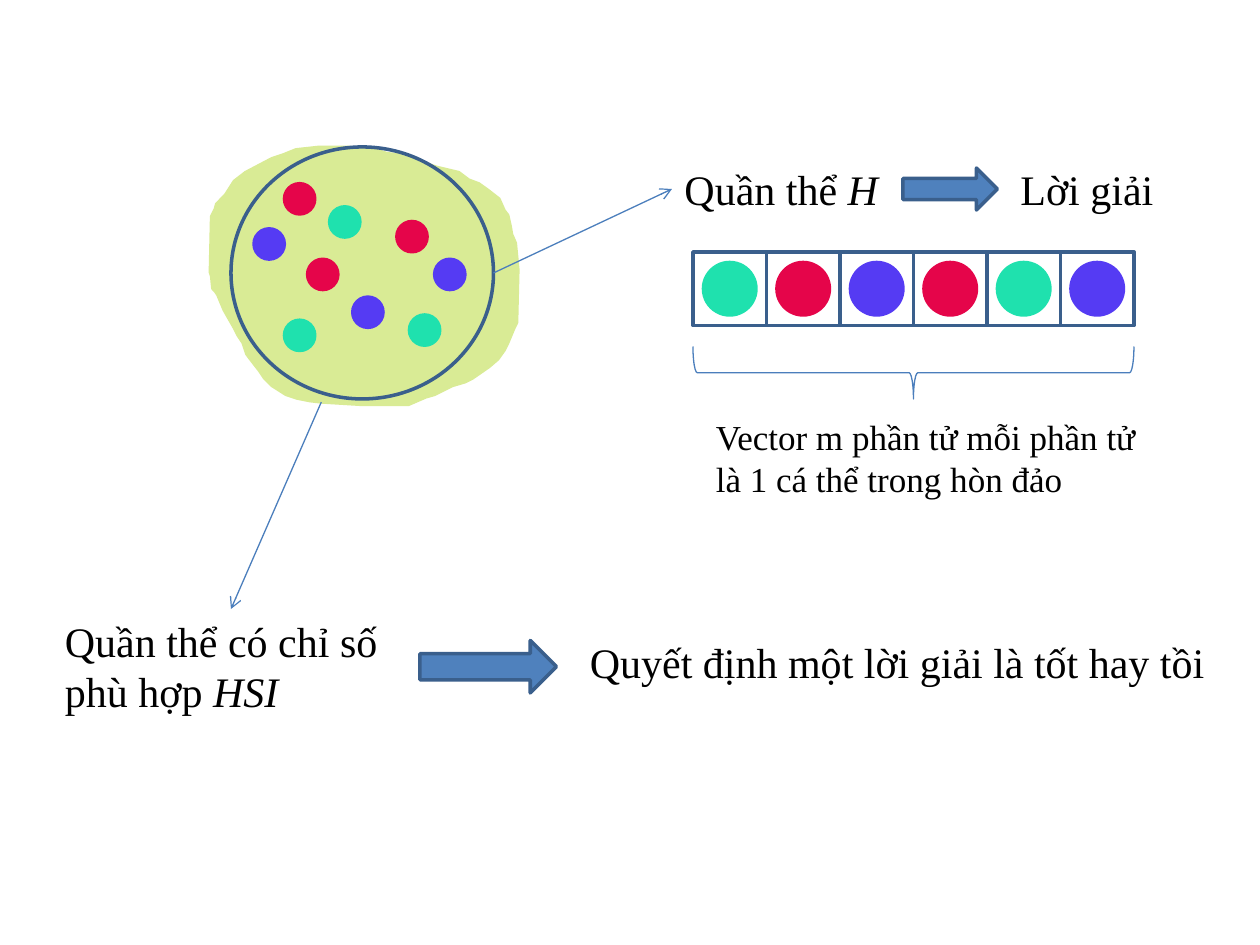
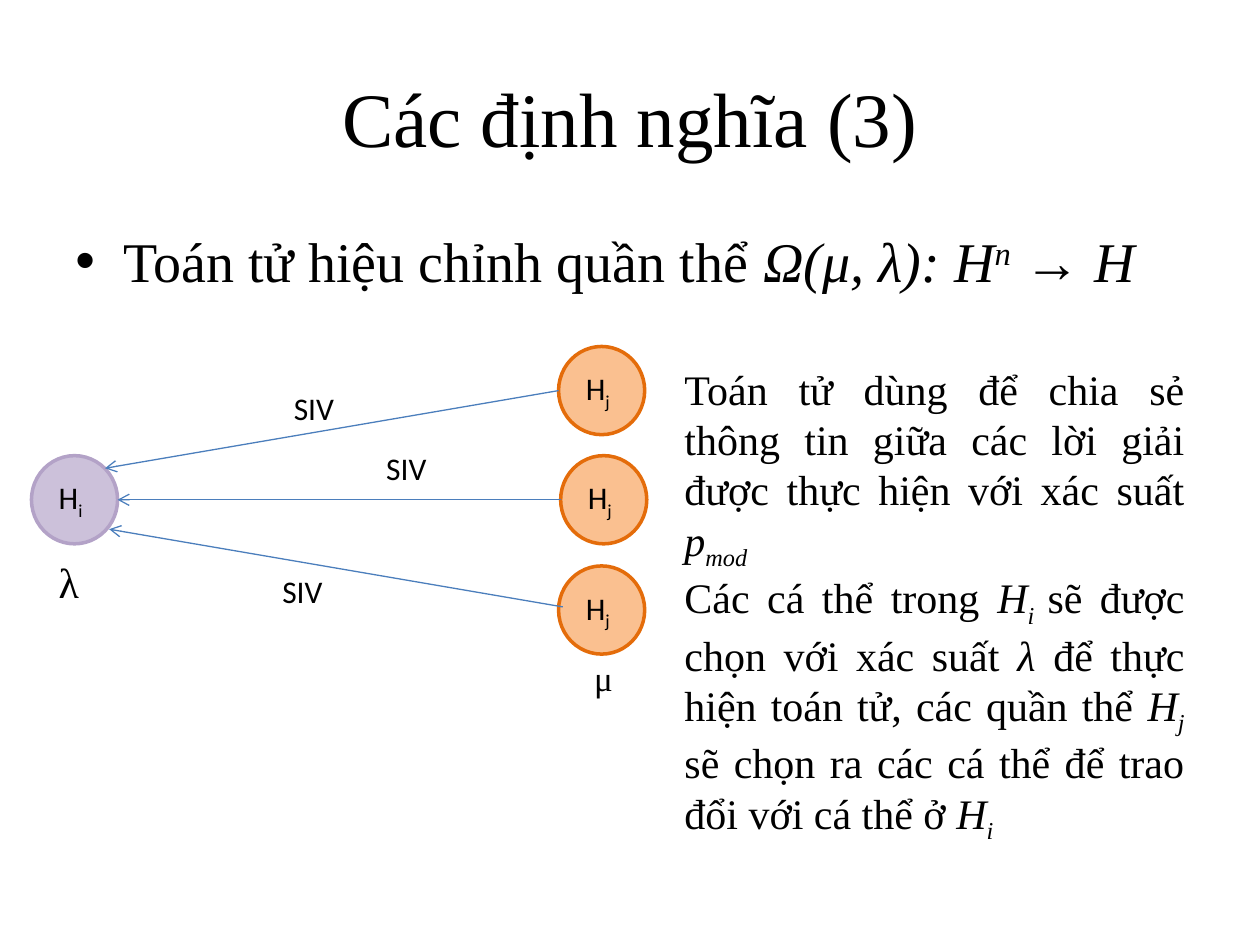
"""Build two slides on population-based solutions and their migration operator."""
from lxml import etree
from pptx import Presentation
from pptx import util as u
from pptx.dml.color import RGBColor
from pptx.enum import shapes, text
from pptx.oxml.ns import qn

COLOURS = {
    "ink": "000000", "island": "D9EB95", "red": "E5054A", "green": "1FE1AE",
    "violet": "553BF3", "outline": "3A5F8C", "arrow": "4F81BD", "thread": "4B7EBC",
    "lilac": "CCC1DA", "lilac edge": "B3A2C7", "peach": "FAC090", "peach edge": "E46C0A",
}
SERIF, SANS = "Times New Roman", "Calibri"
WIDTH, HEIGHT = u.Inches(10), u.Inches(7.5)
COLUMNS, ROWS = 120, 90
CELL = WIDTH / COLUMNS
KIND = shapes.MSO_SHAPE
ALIGN = text.PP_ALIGN
BASELINES = {"_": "-25000", "^": "30000"}

ISLAND_POINTS = [
    (169, 229), (168, 219), (167, 216), (168, 172), (171, 166), (172, 162), (179, 155),
    (186, 144), (195, 137), (216, 126), (225, 123), (235, 119), (253, 117), (276, 117),
    (298, 119), (307, 122), (317, 123), (326, 126), (347, 133), (364, 137), (372, 143),
    (380, 146), (387, 151), (396, 158), (400, 167), (403, 171), (405, 180), (406, 186),
    (409, 193), (411, 214), (410, 256), (408, 260), (403, 272), (400, 278), (395, 285),
    (388, 291), (375, 300), (369, 303), (359, 306), (345, 313), (338, 315), (324, 321),
    (288, 321), (255, 319), (246, 318), (236, 316), (227, 313), (216, 306), (210, 300),
    (206, 294), (199, 285), (196, 281), (193, 272), (189, 266), (186, 260), (178, 246),
    (173, 234), (171, 231),
]
DOTS = {
    "red": [(27.1, 17.5), (37.8, 21.1), (29.3, 24.7)],
    "green": [(39, 30), (27.1, 30.5), (31.4, 19.7)],
    "violet": [(24.2, 21.8), (33.6, 28.3), (41.4, 24.7)],
}
DOT_SIZE = 2.88
VECTOR = ["green", "red", "violet", "red", "green", "violet"]
VECTOR_LEFT, VECTOR_TOP, VECTOR_CELL = 66, 24, 7
ISLAND_THREADS = [(47, 26, 64, 18), (30.6, 38.3, 22, 58)]
BLOCK_ARROWS = [(86, 16, 9, 4), (40, 61, 13, 5)]
ISLAND_LABELS = [
    ((64, 15, 22, 6), 24, [("Quần thể ", ""), ("H", "i")]),
    ((5, 58, 34, 10.9), 24, [("Quần thể có chỉ số phù hợp ", ""), ("HSI", "i")]),
    ((67, 39, 43, 9.2), 20, [("Vector m phần tử mỗi phần tử là 1 cá thể trong hòn đảo", "")]),
    ((96, 15, 22, 6), 24, [("Lời giải", "")]),
    ((55, 60, 61, 6), 24, [("Quyết định một lời giải là tốt hay tồi", "")]),
]

TITLE = [("Các định nghĩa (3)", "")]
OPERATOR = [("Toán tử hiệu chỉnh quần thể ", ""), ("Ω(μ, λ): H", "i"), ("n", "i^"),
            (" → H", "i")]
HABITAT_SIZE = (8.2, 8.4)
HABITATS = [
    ((3, 43.4), "i", "lilac"), ((53.2, 33), "j", "peach"),
    ((53.4, 43.4), "j", "peach"), ((53.2, 53.9), "j", "peach"),
]
MIGRATIONS = [(53.2, 37.2, 10, 44.6), (53.4, 47.6, 11.2, 47.6), (53.6, 57.8, 10.4, 50.4)]
MIGRATION_LABELS = [
    ((4.4, 52.4, 10.4, 7), 24, SERIF, "λ"), ((55.4, 61.9, 9.6, 6.1), 20, SERIF, "μ"),
    ((26.8, 36.5, 10, 5.6), 18, SANS, "SIV"), ((35.6, 42.2, 7.1, 5.6), 18, SANS, "SIV"),
    ((25.7, 53.9, 8.5, 5.6), 18, SANS, "SIV"),
]
EXPLANATION = [
    [("Toán tử dùng để chia sẻ thông tin giữa các lời giải được thực hiện với xác suất ", ""),
     ("p", "i"), ("mod", "i_")],
    [("Các cá thể trong ", ""), ("H", "i"), ("i ", "i_"), ("sẽ được chọn với xác suất ", ""),
     ("λ ", "i"), ("để thực hiện toán tử, các quần thể ", ""), ("H", "i"), ("j ", "i_"),
     ("sẽ chọn ra các cá thể để trao đổi với cá thể ở ", ""), ("H", "i"), ("i", "i_")],
]


def grid(*cells):
    return [u.Emu(round(cell * CELL)) for cell in cells]


def assign(target, values):
    for name, value in values.items():
        setattr(target, name, value)


def colour(name):
    return RGBColor.from_string(COLOURS[name])


def paint(shape, fill, edge, width=2):
    shape.shadow.inherit = False
    if fill:
        shape.fill.solid()
        shape.fill.fore_color.rgb = colour(fill)
    else:
        shape.fill.background()
    shape.line.color.rgb = colour(edge)
    shape.line.width = u.Pt(width)


def add_figure(page, kind, area, fill, edge, width=2):
    shape = page.shapes.add_shape(kind, *grid(*area))
    paint(shape, fill, edge, width)
    return shape


def add_thread(page, ends):
    thread = page.shapes.add_connector(shapes.MSO_CONNECTOR.STRAIGHT, *grid(*ends))
    thread.line.color.rgb = colour("thread")
    thread.line.width = u.Pt(0.75)
    properties = thread._element.spPr
    etree.SubElement(properties.find(qn("a:ln")), qn("a:tailEnd"), type="arrow")
    etree.SubElement(properties, qn("a:effectLst"))


def write(shape, paragraphs, size, font=SERIF, align=ALIGN.LEFT, **frame_values):
    frame = shape.text_frame
    assign(frame, {"word_wrap": True, **frame_values})
    for index, spans in enumerate(paragraphs):
        para = frame.add_paragraph() if index else frame.paragraphs[0]
        para.alignment = align
        for wording, style in spans:
            span = para.add_run()
            span.text = wording
            assign(span.font, {"size": u.Pt(size), "name": font, "italic": "i" in style})
            span.font.color.rgb = colour("ink")
            for mark, baseline in BASELINES.items():
                if mark in style:
                    span.font._element.set("baseline", baseline)


def add_text(page, area, paragraphs, size, **values):
    box = page.shapes.add_textbox(*grid(*area))
    write(box, paragraphs, size, **values)
    return box


def add_label(page, area, paragraphs, size, **values):
    fit = text.MSO_AUTO_SIZE.SHAPE_TO_FIT_TEXT
    return add_text(page, area, paragraphs, size, auto_size=fit, **values)


def build_island(page):
    builder = page.shapes.build_freeform(*ISLAND_POINTS[0], scale=u.Inches(0.01))
    builder.add_line_segments(ISLAND_POINTS[1:], close=True)
    paint(builder.convert_to_shape(), "island", "island")
    for shade, places in DOTS.items():
        for place in places:
            add_figure(page, KIND.OVAL, (*place, DOT_SIZE, DOT_SIZE), shade, shade)
    add_figure(page, KIND.OVAL, (22, 14, 25, 24), None, "outline")
    for ends in ISLAND_THREADS:
        add_thread(page, ends)
    for index in range(len(VECTOR)):
        left = VECTOR_LEFT + index * VECTOR_CELL
        add_figure(page, KIND.RECTANGLE, (left, VECTOR_TOP, VECTOR_CELL, VECTOR_CELL),
                   None, "outline")
    for index, shade in enumerate(VECTOR):
        left = VECTOR_LEFT + index * VECTOR_CELL + 1
        add_figure(page, KIND.OVAL, (left, VECTOR_TOP + 1, VECTOR_CELL - 2, VECTOR_CELL - 2),
                   shade, shade)
    brace = add_figure(page, KIND.LEFT_BRACE, (84.5, 14.5, 5, 42), None, "thread", 0.75)
    brace.rotation = 270
    for area in BLOCK_ARROWS:
        add_figure(page, KIND.RIGHT_ARROW, area, "arrow", "outline")
    for area, size, spans in ISLAND_LABELS:
        add_label(page, area, [spans], size)


def build_migration(page):
    add_text(page, (6, 3.6, 108, 15), [TITLE], 44, align=ALIGN.CENTER,
             vertical_anchor=text.MSO_ANCHOR.MIDDLE)
    body = add_text(page, (6, 21, 108, 59.4), [OPERATOR], 32)
    para = body.text_frame.paragraphs[0]
    para.space_before = u.Pt(6.4)
    properties = para._p.get_or_add_pPr()
    indent = u.Inches(0.38)
    properties.set("marL", str(indent))
    properties.set("indent", str(-indent))
    etree.SubElement(properties, qn("a:buFont"), typeface="Arial")
    etree.SubElement(properties, qn("a:buChar"), char="•")
    for place, index, shade in HABITATS:
        circle = add_figure(page, KIND.OVAL, (*place, *HABITAT_SIZE), shade, f"{shade} edge")
        write(circle, [[("H", ""), (index, "_")]], 18, font=SANS, align=ALIGN.CENTER,
              vertical_anchor=text.MSO_ANCHOR.MIDDLE, margin_right=u.Inches(0.16))
    for ends in MIGRATIONS:
        add_thread(page, ends)
    for area, size, font, wording in MIGRATION_LABELS:
        add_label(page, area, [[(wording, "")]], size, font=font)
    add_label(page, (64, 34, 50, 53.3), EXPLANATION, 24, align=ALIGN.JUSTIFY)


def main():
    deck = Presentation()
    assign(deck, {"slide_width": WIDTH, "slide_height": HEIGHT})
    for build in (build_island, build_migration):
        build(deck.slides.add_slide(deck.slide_layouts[6]))
    deck.save("out.pptx")


if __name__ == "__main__":
    main()
